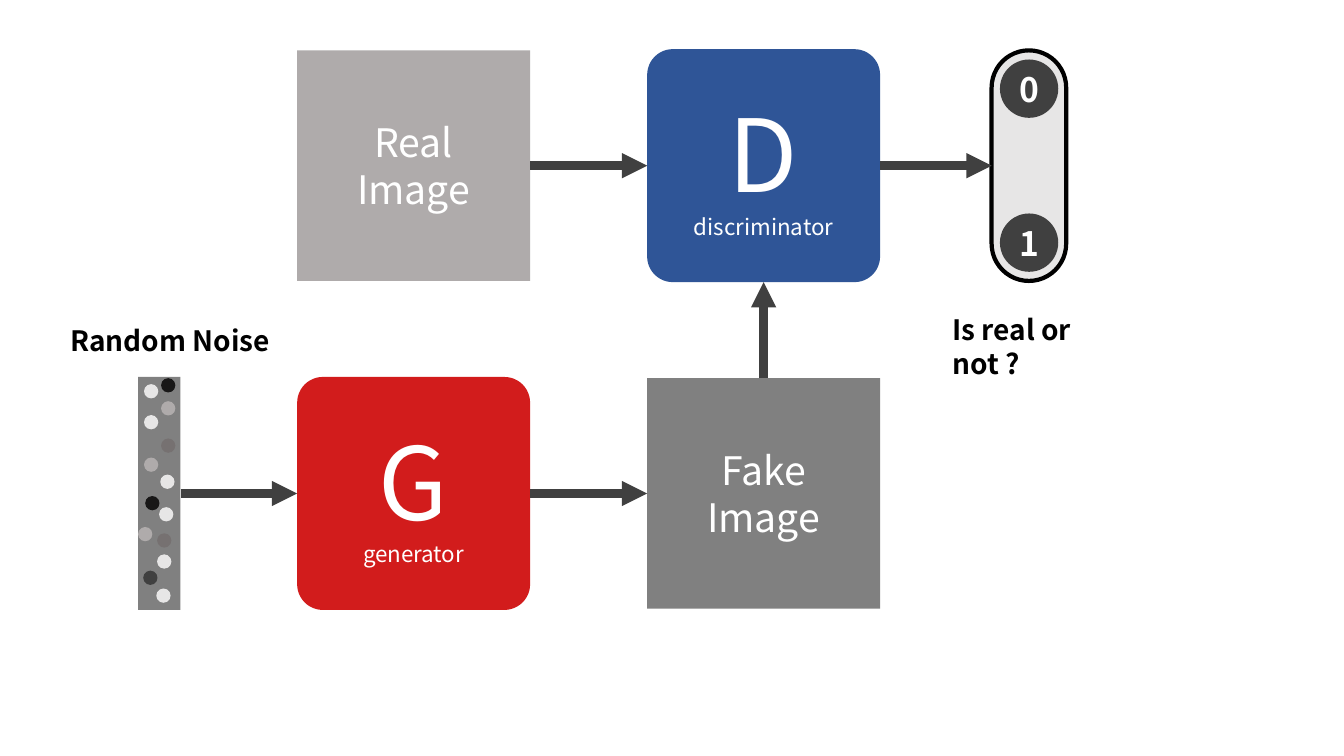
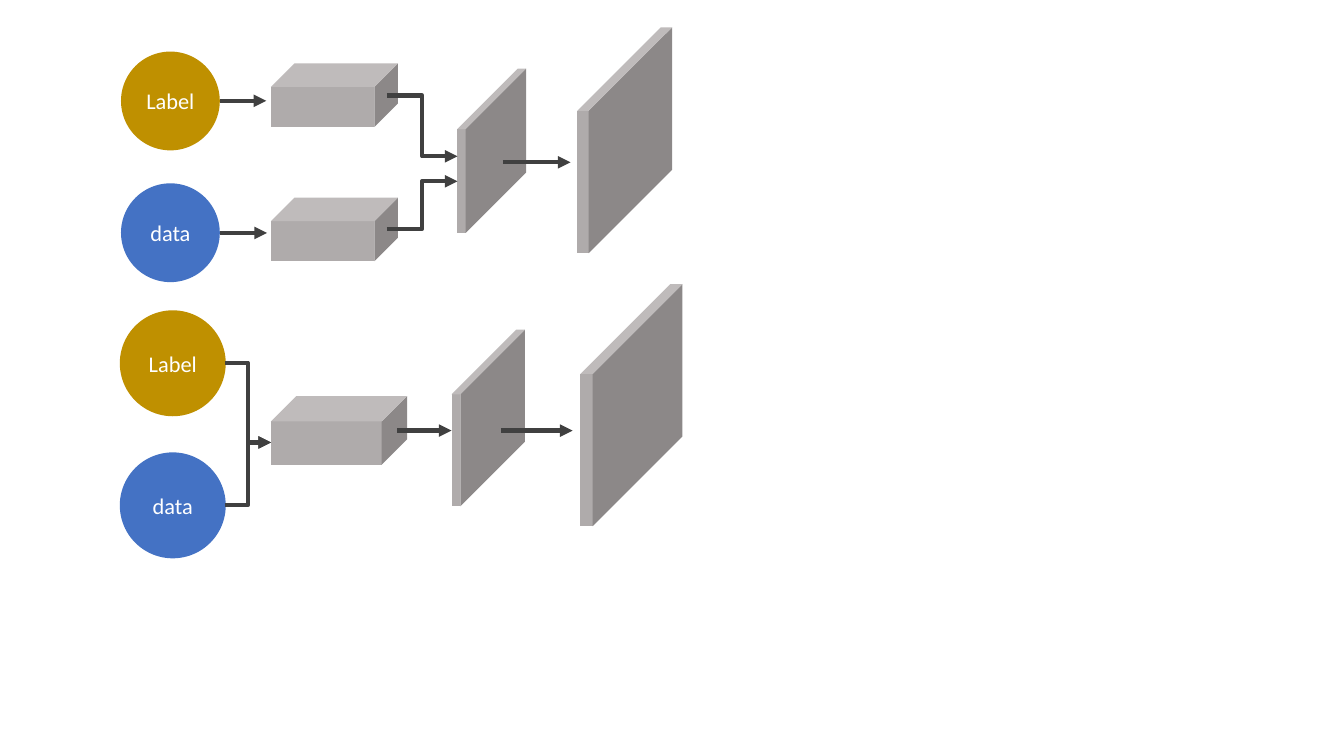
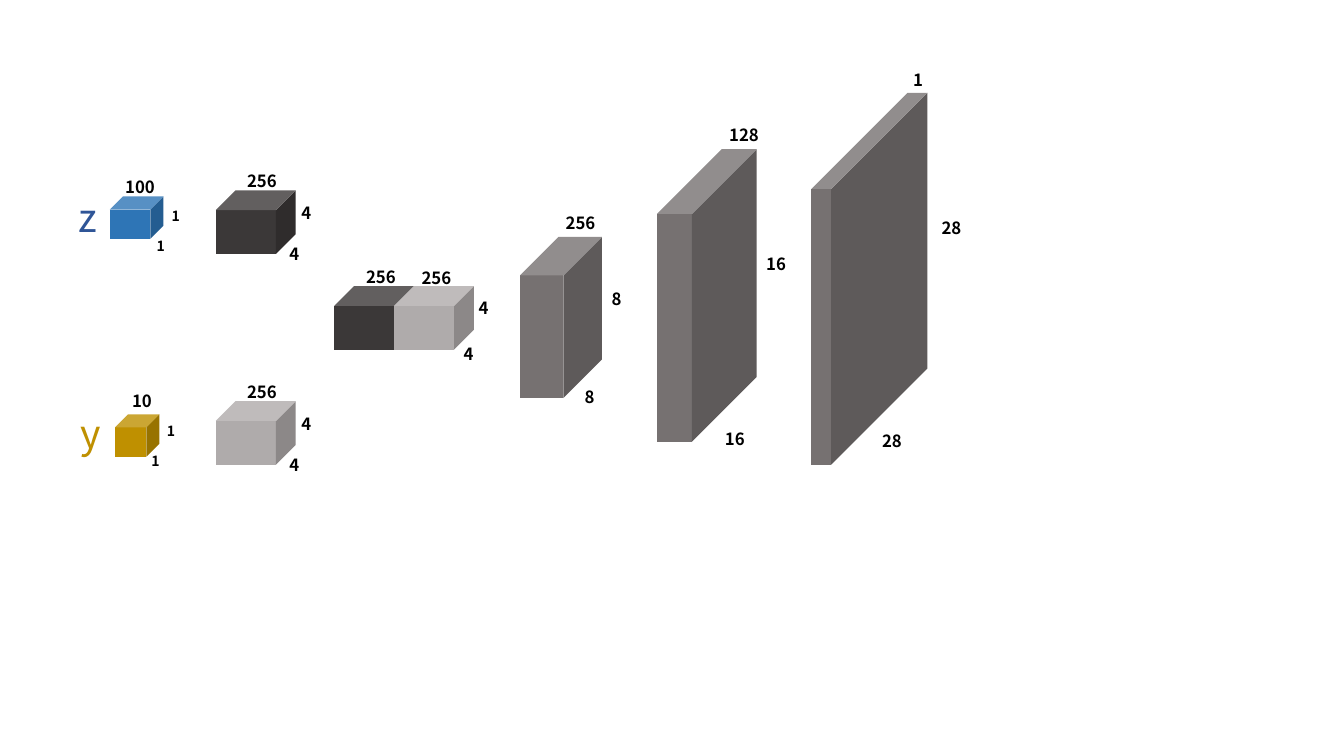
from dataclasses import dataclass

from lxml import etree
from pptx import Presentation
from pptx.dml.color import RGBColor
from pptx.enum.shapes import MSO_CONNECTOR, MSO_SHAPE
from pptx.enum.text import MSO_ANCHOR, MSO_AUTO_SIZE, PP_ALIGN
from pptx.oxml.ns import qn
from pptx.shapes.autoshape import Shape
from pptx.shapes.connector import Connector
from pptx.slide import Slide
from pptx.text.text import TextFrame
from pptx.util import Cm, Pt

COLORS = {
    "black": "000000", "white": "FFFFFF", "ink": "181717", "charcoal": "404040",
    "dark": "3B3838", "stone": "767171", "gray": "808080", "silver": "AFABAB",
    "pale": "E7E6E6", "red": "D21C1C", "navy": "2F5597", "blue": "4472C4",
    "sky": "2E75B6", "gold": "BF9000",
}
NOTO = "Noto Sans CJK SC"
CALIBRI = "Calibri"
TOP, LEFT, BOTTOM, RIGHT = range(4)  # connection sites of a rectangle


@dataclass(frozen=True)
class Line:
    """One paragraph of text with its size."""
    text: str
    size: int
    bold: bool = False
    font: str = NOTO


@dataclass(frozen=True)
class Box:
    """A preset shape; lengths in cm."""
    kind: MSO_SHAPE
    x: float
    y: float
    w: float
    h: float
    color: str
    adjust: float | None = None
    lines: tuple[Line, ...] = ()


@dataclass(frozen=True)
class Arrow:
    """An arrow between two points in cm."""
    start: tuple[float, float]
    end: tuple[float, float]
    kind: MSO_CONNECTOR = MSO_CONNECTOR.STRAIGHT


@dataclass(frozen=True)
class Label:
    """A dimension label given by its centre and top in cm."""
    text: str
    center: float
    y: float
    size: int = 12


@dataclass(frozen=True)
class Tensor:
    """A cube with its dimension labels."""
    cube: Box
    labels: tuple[Label, ...]


def rgb(color: str) -> RGBColor:
    """Look up a named colour."""
    return RGBColor.from_string(COLORS[color])


def write(frame: TextFrame, lines: tuple[Line, ...], color: str, align: PP_ALIGN) -> None:
    """Fill a text frame with one paragraph per line."""
    for i, line in enumerate(lines):
        paragraph = frame.paragraphs[0] if i == 0 else frame.add_paragraph()
        paragraph.alignment = align
        run = paragraph.add_run()
        run.text = line.text
        run.font.name = line.font
        run.font.size = Pt(line.size)
        run.font.bold = line.bold
        run.font.color.rgb = rgb(color)


def draw_box(slide: Slide, box: Box) -> Shape:
    """Draw a flat preset shape with centred white text."""
    shape = slide.shapes.add_shape(box.kind, Cm(box.x), Cm(box.y), Cm(box.w), Cm(box.h))
    shape.shadow.inherit = False
    shape.fill.solid()
    shape.fill.fore_color.rgb = rgb(box.color)
    shape.line.fill.background()
    if box.adjust is not None:
        shape.adjustments[0] = box.adjust
    if box.lines:
        shape.text_frame.word_wrap = False
        shape.text_frame.vertical_anchor = MSO_ANCHOR.MIDDLE
        write(shape.text_frame, box.lines, "white", PP_ALIGN.CENTER)
    return shape


def draw_text(slide: Slide, line: Line, x: float, y: float, w: float, h: float,
              color: str = "black", align: PP_ALIGN = PP_ALIGN.LEFT,
              wrap: bool = False) -> None:
    """Draw a text box that grows with its text."""
    frame = slide.shapes.add_textbox(Cm(x), Cm(y), Cm(w), Cm(h)).text_frame
    frame.word_wrap = wrap
    frame.auto_size = MSO_AUTO_SIZE.SHAPE_TO_FIT_TEXT
    write(frame, (line,), color, align)


def draw_label(slide: Slide, label: Label) -> None:
    """Draw a bold number centred on its position."""
    width = 0.5 + 0.26 * len(label.text)
    draw_text(slide, Line(label.text, label.size, True), label.center - width / 2,
              label.y, width, 0.76, align=PP_ALIGN.CENTER)


def draw_arrow(slide: Slide, arrow: Arrow, weight: float) -> Connector:
    """Draw a connector with a triangle at its end."""
    points = [Cm(v) for v in (*arrow.start, *arrow.end)]
    connector = slide.shapes.add_connector(arrow.kind, *points)
    connector.line.color.rgb = rgb("charcoal")
    connector.line.width = Pt(weight)
    properties = connector.element.spPr
    etree.SubElement(properties.find(qn("a:ln")), qn("a:tailEnd"), type="triangle")
    etree.SubElement(properties, qn("a:effectLst"))
    return connector


def join(slide: Slide, source: Shape, start: int, target: Shape, end: int) -> None:
    """Glue a heavy arrow to sites of two shapes."""
    connector = draw_arrow(slide, Arrow((0, 0), (1, 1)), 6)
    connector.begin_connect(source, start)
    connector.end_connect(target, end)


def circle(x: float, y: float, size: float, color: str, *lines: Line) -> Box:
    """Describe a circle."""
    return Box(MSO_SHAPE.OVAL, x, y, size, size, color, lines=lines)


def cube(x: float, y: float, w: float, h: float, depth: float, color: str = "silver") -> Box:
    """Describe a cube."""
    return Box(MSO_SHAPE.CUBE, x, y, w, h, color, depth)


def model(x: float, y: float, color: str, letter: str, name: str) -> Box:
    """Describe a rounded network block."""
    return Box(MSO_SHAPE.ROUNDED_RECTANGLE, x, y, BLOCK, BLOCK, color, 0.11,
               (Line(letter, 72), Line(name, 16)))


def image_block(x: float, y: float, color: str, name: str) -> Box:
    """Describe a square standing for an image."""
    return Box(MSO_SHAPE.RECTANGLE, x, y + 0.03, BLOCK, BLOCK - 0.06, color,
               lines=(Line(name, 28), Line("Image", 28)))


# Slide 1: adversarial training
BLOCK = 5.87
COLUMN_1, COLUMN_2 = 7.49, 16.31
ROW_1, ROW_2 = 1.24, 9.5
NOISE_DOTS = (
    (3.63, 9.68, "pale"), (4.06, 10.11, "silver"), (3.63, 10.46, "pale"),
    (4.06, 11.05, "stone"), (3.63, 11.53, "silver"), (4.04, 11.96, "pale"),
    (3.66, 12.5, "ink"), (4.06, 9.53, "ink"), (4.01, 12.78, "pale"),
    (3.48, 13.28, "silver"), (3.96, 13.44, "stone"), (3.96, 13.97, "pale"),
    (3.61, 14.38, "charcoal"), (3.94, 14.83, "pale"),
)


def build_gan(slide: Slide) -> None:
    """Draw the generator and discriminator diagram."""
    noise = draw_box(slide, Box(MSO_SHAPE.RECTANGLE, 3.48, ROW_2, 1.07, BLOCK, "gray"))
    for x, y, color in NOISE_DOTS:
        draw_box(slide, circle(x, y, 0.36, color))
    generator = draw_box(slide, model(COLUMN_1, ROW_2, "red", "G", "generator"))
    discriminator = draw_box(slide, model(COLUMN_2, ROW_1, "navy", "D", "discriminator"))
    real = draw_box(slide, image_block(COLUMN_1, ROW_1, "silver", "Real"))
    fake = draw_box(slide, image_block(COLUMN_2, ROW_2, "gray", "Fake"))
    verdict = draw_box(slide, Box(MSO_SHAPE.ROUNDED_RECTANGLE, 24.99, ROW_1 + 0.03,
                                  1.88, BLOCK - 0.06, "pale", 0.5))
    verdict.line.color.rgb = rgb("black")
    verdict.line.width = Pt(3)
    for digit, y in (("0", 1.5), ("1", 5.38)):
        draw_box(slide, circle(25.2, y, 1.47, "charcoal", Line(digit, 24, True)))
    for source, target in ((noise, generator), (generator, fake),
                           (real, discriminator), (discriminator, verdict)):
        join(slide, source, RIGHT, target, LEFT)
    join(slide, fake, TOP, discriminator, BOTTOM)
    draw_text(slide, Line("Random Noise", 20, True), 1.52, 8.03, 5.59, 1.12)
    draw_text(slide, Line("Is real or not ?", 20, True), 23.75, 7.75, 5, 1.12, wrap=True)


# Slide 2: two ways to merge label and data
LABEL = Line("Label", 16, font=CALIBRI)
DATA = Line("data", 16, font=CALIBRI)
ELBOW = MSO_CONNECTOR.ELBOW
MERGE_BOXES = (
    circle(3.05, 1.3, 2.49, "gold", LABEL),
    circle(3.05, 4.62, 2.49, "blue", DATA),
    cube(6.83, 1.6, 3.2, 1.6, 0.37),
    cube(6.83, 4.98, 3.2, 1.6, 0.37),
    cube(11.53, 1.73, 1.73, 4.14, 0.88),
    cube(14.55, 0.69, 2.39, 5.69, 0.88),
    circle(3.02, 7.82, 2.67, "gold", LABEL),
    circle(3.02, 11.4, 2.67, "blue", DATA),
    cube(6.83, 9.98, 3.43, 1.73, 0.37),
    cube(11.38, 8.31, 1.85, 4.45, 0.88),
    cube(14.63, 7.16, 2.57, 6.1, 0.88),
)
MERGE_ARROWS = (
    Arrow((5.54, 2.54), (6.71, 2.54)),
    Arrow((5.54, 5.87), (6.73, 5.87)),
    Arrow((9.75, 2.41), (11.53, 3.94), ELBOW),
    Arrow((9.75, 5.77), (11.53, 4.57), ELBOW),
    Arrow((12.67, 4.09), (14.38, 4.09)),
    Arrow((5.66, 9.14), (6.83, 11.15), ELBOW),
    Arrow((5.66, 12.73), (6.83, 11.15), ELBOW),
    Arrow((10.01, 10.85), (11.38, 10.85)),
    Arrow((12.62, 10.85), (14.43, 10.85)),
)


def build_merges(slide: Slide) -> None:
    """Draw late and early merging of label and data."""
    for box in MERGE_BOXES:
        draw_box(slide, box)
    for arrow in MERGE_ARROWS:
        draw_arrow(slide, arrow, 3)


# Slide 3: tensor sizes through the generator
def small_cube(x: float, y: float, color: str) -> Box:
    """Describe a 4 x 4 x 256 tensor."""
    return cube(x, y, 2.01, 1.6, 0.31, color)


TENSORS = (
    Tensor(cube(2.77, 4.95, 1.35, 1.07, 0.31, "sky"),
           (Label("100", 3.53, 4.32), Label("1", 4.43, 5.11, 10), Label("1", 4.05, 5.87, 10))),
    Tensor(cube(2.9, 10.44, 1.12, 1.07, 0.31, "gold"),
           (Label("10", 3.58, 9.73), Label("1", 4.31, 10.52, 10), Label("1", 3.92, 11.28, 10))),
    Tensor(small_cube(5.44, 4.8, "dark"),
           (Label("256", 6.6, 4.19), Label("4", 7.72, 4.98), Label("4", 7.42, 6.02))),
    Tensor(small_cube(5.44, 10.11, "silver"),
           (Label("256", 6.6, 9.5), Label("4", 7.72, 10.31), Label("4", 7.42, 11.33))),
    Tensor(small_cube(8.43, 7.21, "dark"), (Label("256", 9.6, 6.6),)),
    Tensor(small_cube(9.93, 7.21, "silver"),
           (Label("256", 11, 6.63), Label("4", 12.19, 7.39), Label("4", 11.81, 8.53))),
    Tensor(cube(13.11, 5.97, 2.06, 4.06, 0.47, "stone"),
           (Label("256", 14.63, 5.23), Label("8", 15.54, 7.14), Label("8", 14.86, 9.63))),
    Tensor(cube(16.56, 3.76, 2.51, 7.37, 0.65, "stone"),
           (Label("128", 18.75, 3.02), Label("16", 19.56, 6.27), Label("16", 18.52, 10.67))),
    Tensor(cube(20.45, 2.34, 2.92, 9.37, 0.83, "stone"),
           (Label("1", 23.14, 1.63), Label("28", 23.98, 5.36), Label("28", 22.48, 10.72))),
)


def build_tensors(slide: Slide) -> None:
    """Draw the tensors from the inputs z and y to the output."""
    for tensor in TENSORS:
        draw_box(slide, tensor.cube)
        for label in tensor.labels:
            draw_label(slide, label)
    draw_text(slide, Line("z", 28), 1.73, 4.75, 0.99, 1.45, "navy")
    draw_text(slide, Line("y", 28), 1.78, 10.19, 1.04, 1.45, "gold")


def main() -> None:
    """Build and save the presentation."""
    deck = Presentation()
    deck.slide_width, deck.slide_height = Cm(33.87), Cm(19.05)
    blank = deck.slide_layouts[6]
    for build in (build_gan, build_merges, build_tensors):
        build(deck.slides.add_slide(blank))
    deck.save("out.pptx")


main()
